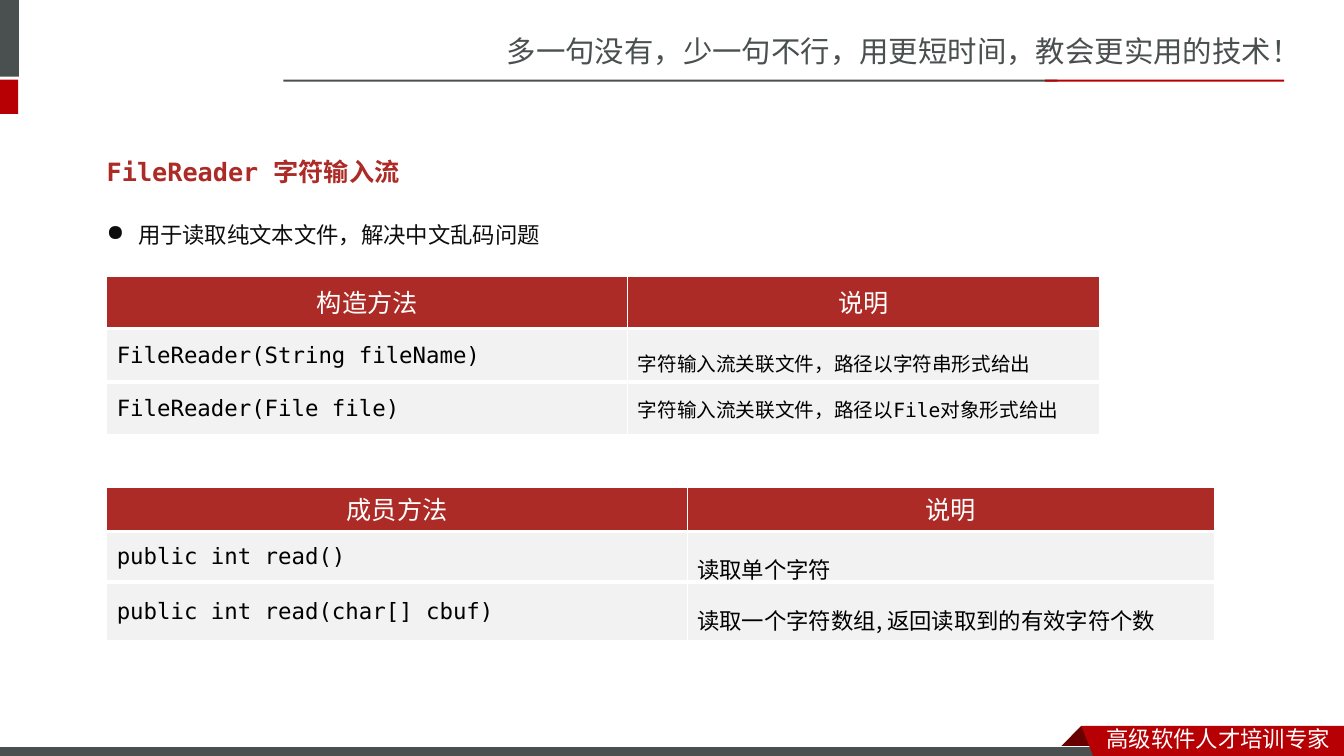
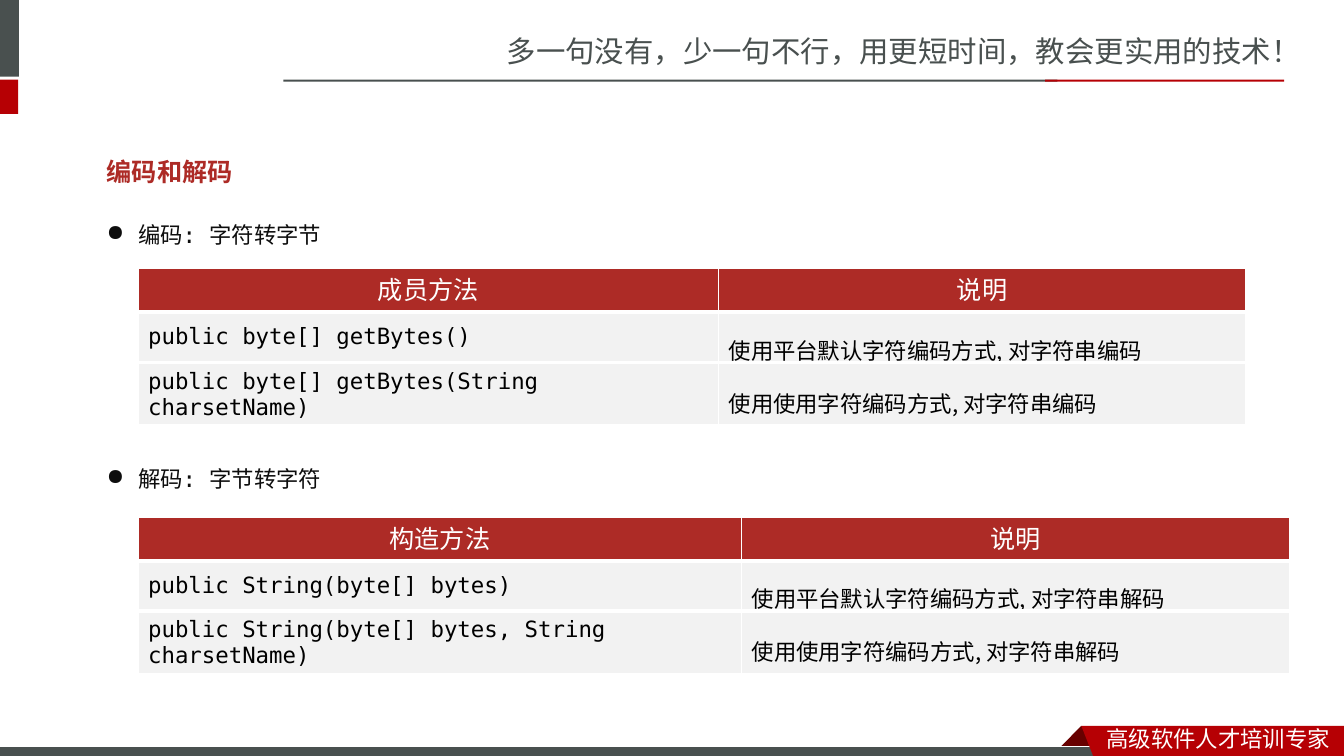
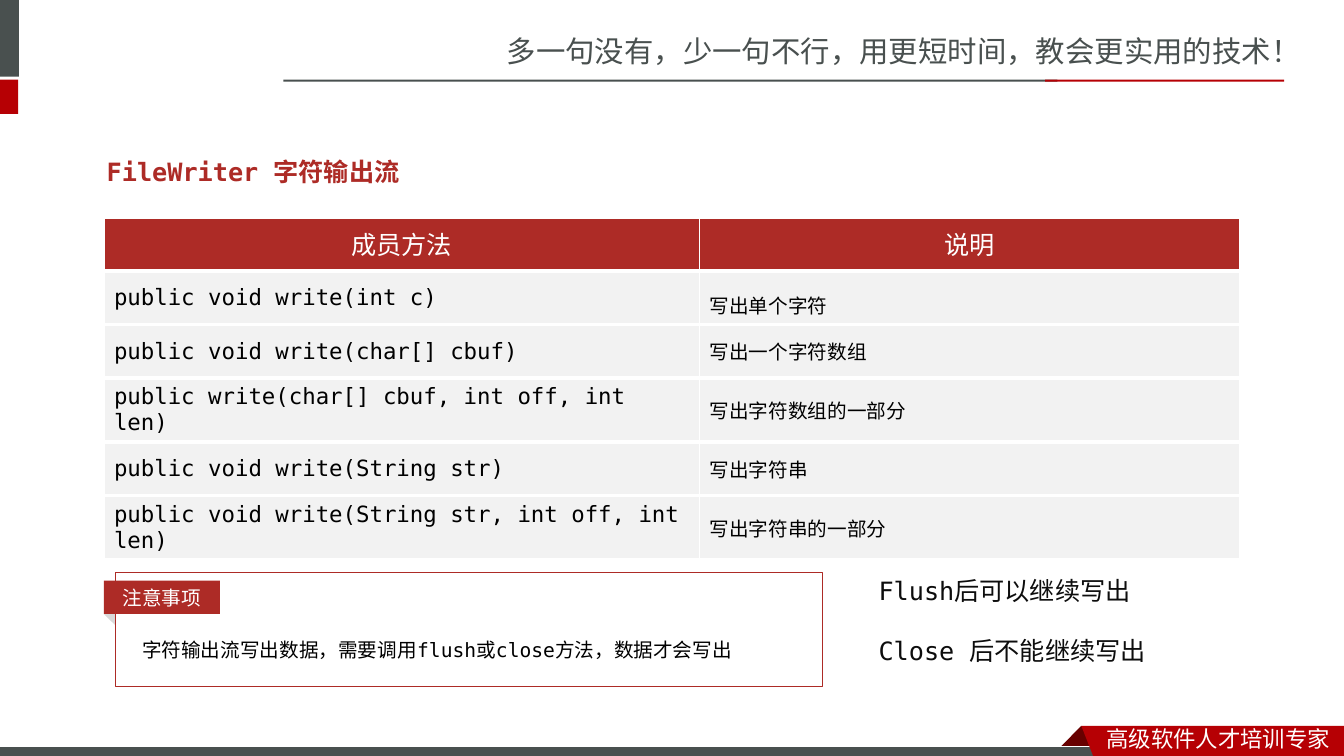
from dataclasses import dataclass

from lxml.etree import SubElement
from pptx import Presentation
from pptx.dml.color import RGBColor
from pptx.enum.shapes import MSO_SHAPE as Geo
from pptx.enum.text import MSO_ANCHOR as Anchor
from pptx.enum.text import MSO_AUTO_SIZE as Fit
from pptx.enum.text import PP_ALIGN as Align
from pptx.oxml.ns import qn
from pptx.util import Cm, Pt

GRAY = RGBColor(0x49, 0x50, 0x4F)
RED = RGBColor(0xB6, 0x00, 0x04)
DARK = RGBColor(0x68, 0x00, 0x00)
BRICK = RGBColor(0xAD, 0x2B, 0x26)
PALE = RGBColor(0xF2, 0xF2, 0xF2)
SHADE = RGBColor(0xD9, 0xD9, 0xD9)
INK = RGBColor(0x0D, 0x0D, 0x0D)
BLACK = RGBColor(0x00, 0x00, 0x00)
WHITE = RGBColor(0xFF, 0xFF, 0xFF)

MONO = "DejaVu Sans Mono"
SANS = "Noto Sans CJK SC"
JAPAN = "Noto Sans CJK JP"
HEAD = "Roboto"


@dataclass(frozen=True)
class Box:
    """A place on the slide, in centimetres."""
    x: float
    y: float
    w: float
    h: float

    def place(self) -> tuple:
        return Cm(self.x), Cm(self.y), Cm(self.w), Cm(self.h)


@dataclass(frozen=True)
class Style:
    size: float
    color: RGBColor = BLACK
    latin: str = MONO
    asian: str = SANS
    bold: bool = False


@dataclass(frozen=True)
class Bar:
    box: Box
    fill: RGBColor
    edge: RGBColor | None = None


@dataclass(frozen=True)
class Grid:
    """A two-column table of methods; loose tables have airy, larger notes."""
    box: Box
    cols: tuple
    rows: tuple
    title: str
    body: tuple
    loose: bool = False


@dataclass(frozen=True)
class Page:
    title: str
    points: tuple
    grids: tuple


MOTTO = Style(21, GRAY, SANS)
SLOGAN = Style(16, WHITE, SANS)
TITLE = Style(18, BRICK, bold=True)
POINT = Style(16, INK)
TOP = Style(18, WHITE, HEAD)
CODE = Style(16)
NOTE = Style(14)
WIDE = Style(16, BLACK, JAPAN, JAPAN)
TAG = Style(14, WHITE, HEAD)
REMARK = Style(18, INK, MONO, JAPAN)

BARS = (
    Bar(Box(-0.15, 0, 0.63, 1.93), GRAY),
    Bar(Box(-0.15, 2.01, 0.61, 0.86), RED),
    Bar(Box(7.14, 2.01, 19.51, 0.05), GRAY),
    Bar(Box(26.34, 2.01, 6.02, 0.05), RED),
)
BASE = Bar(Box(-0.03, 18.82, 27.94, 0.3), GRAY, WHITE)
FOLD = ((27.25, 18.29), (27.81, 18.85), (27.79, 18.87),
        (26.72, 18.87), (26.7, 18.85))
RIBBON = ((27.25, 18.29), (33.87, 18.29), (33.87, 19.15), (27.58, 19.13))

TALL = (1.32, 1.35, 1.35)
TIGHT = (0.69, 0.97, 1.5)
MAKE, CALL = "构造方法", "成员方法"

PAGES = (
    Page("FileReader 字符输入流", ((5.11, "用于读取纯文本文件，解决中文乱码问题"),), (
        Grid(Box(2.69, 6.96, 25.02, 4.01), (13.13, 11.89), TALL, MAKE, (
            ("FileReader(String fileName)", "字符输入流关联文件，路径以字符串形式给出"),
            ("FileReader(File file)", "字符输入流关联文件，路径以File对象形式给出"))),
        Grid(Box(2.69, 12.29, 27.91, 3.71), (14.63, 13.28), TIGHT, CALL, (
            ("public int read()", "读取单个字符"),
            ("public int read(char[] cbuf)",
             "读取一个字符数组, 返回读取到的有效字符个数")), True))),
    Page("编码和解码", ((5.11, "编码: 字符转字节"), (11.25, "解码: 字节转字符")), (
        Grid(Box(3.48, 6.76, 27.91, 3.71), (14.63, 13.28), TIGHT, CALL, (
            ("public byte[] getBytes()", "使用平台默认字符编码方式, 对字符串编码"),
            ("public byte[] getBytes(String charsetName)",
             "使用使用字符编码方式, 对字符串编码")), True),
        Grid(Box(3.48, 13.03, 29.03, 3.71), (15.21, 13.82), TIGHT, MAKE, (
            ("public String(byte[] bytes)", "使用平台默认字符编码方式, 对字符串解码"),
            ("public String(byte[] bytes, String charsetName)",
             "使用使用字符编码方式, 对字符串解码")), True))),
    Page("FileWriter 字符输出流", (), (
        Grid(Box(2.62, 5.51, 28.62, 8.05), (15.01, 13.61),
             (1.32,) + (1.35,) * 5, CALL, (
            ("public void write(int c)", "写出单个字符"),
            ("public void write(char[] cbuf)", "写出一个字符数组"),
            ("public write(char[] cbuf, int off, int len)", "写出字符数组的一部分"),
            ("public void write(String str)", "写出字符串"),
            ("public void write(String str, int off, int len)",
             "写出字符串的一部分"))),)),
)


def ink(para, style: Style) -> None:
    """Format every run of a paragraph."""
    for run in para.runs:
        font = run.font
        font.size, font.bold = Pt(style.size), style.bold
        font.color.rgb, font.name = style.color, style.latin
        props = run._r.get_or_add_rPr()
        SubElement(props, qn("a:ea")).set("typeface", style.asian)


def paint(shape, fill: RGBColor | None, edge: RGBColor | None = None) -> None:
    shape.shadow.inherit = False
    if fill is None:
        shape.fill.background()
    else:
        shape.fill.solid()
        shape.fill.fore_color.rgb = fill
    if edge is None:
        shape.line.fill.background()
    else:
        shape.line.color.rgb = edge
        shape.line.width = Pt(0.75)


def add_bar(slide, bar: Bar) -> None:
    paint(slide.shapes.add_shape(Geo.RECTANGLE, *bar.box.place()),
          bar.fill, bar.edge)


def add_poly(slide, dots: tuple, fill: RGBColor) -> None:
    first, *rest = [(Cm(x), Cm(y)) for x, y in dots]
    pen = slide.shapes.build_freeform(*first, scale=1.0)
    pen.add_line_segments(rest, close=True)
    paint(pen.convert_to_shape(), fill)


def add_text(slide, box: Box, text: str, style: Style, lead: float = 1.0):
    frame = slide.shapes.add_textbox(*box.place()).text_frame
    frame.word_wrap = True
    frame.auto_size = Fit.SHAPE_TO_FIT_TEXT
    frame.text = text
    for para in frame.paragraphs:
        para.line_spacing = lead
        ink(para, style)
    return frame


def add_point(slide, y: float, text: str) -> None:
    frame = add_text(slide, Box(2.44, y, 24.36, 1.19), text, POINT, 1.5)
    props = frame.paragraphs[0]._p.get_or_add_pPr()
    props.set("marL", str(Cm(0.79)))
    props.set("indent", str(-Cm(0.79)))
    SubElement(props, qn("a:buChar")).set("char", "●")


def edge_cell(cell, top: float) -> None:
    """Give a cell white borders, thin at the sides and thick below."""
    props = cell._tc.get_or_add_tcPr()
    for side, width in zip("LRTB", (1, 1, top, 3)):
        line = SubElement(props, qn(f"a:ln{side}"), w=str(Pt(width)))
        fill = SubElement(line, qn("a:solidFill"))
        SubElement(fill, qn("a:srgbClr"), val=str(WHITE))


def add_grid(slide, grid: Grid) -> None:
    lines = ((grid.title, "说明"),) + grid.body
    frame = slide.shapes.add_table(len(lines), 2, *grid.box.place())
    table = frame.table
    table.first_row = table.horz_banding = False
    for col, width in zip(table.columns, grid.cols):
        col.width = Cm(width)
    for row, height in zip(table.rows, grid.rows):
        row.height = Cm(height)
    frame.height = Cm(grid.box.h)
    for i, line in enumerate(lines):
        for j, text in enumerate(line):
            cell = table.cell(i, j)
            edge_cell(cell, 3 if i else 1)
            cell.fill.solid()
            cell.fill.fore_color.rgb = PALE if i else BRICK
            cell.vertical_anchor = Anchor.MIDDLE
            cell.text_frame.text = text
            para = cell.text_frame.paragraphs[0]
            if i == 0:
                para.alignment = Align.CENTER
                para.line_spacing = Pt(24)
                ink(para, TOP)
                continue
            if i == 1:
                para.space_before = Pt(3)
            if j == 1 and (i == 1 or grid.loose):
                para.line_spacing = 1.5
            ink(para, CODE if j == 0 else WIDE if grid.loose else NOTE)


def add_notice(slide) -> None:
    """Draw the framed warning and the remarks beside it."""
    fold = slide.shapes.add_shape(
        Geo.ISOSCELES_TRIANGLE, *Box(2.64, 15.42, 0.41, 0.23).place())
    fold.rotation = 44.2
    paint(fold, SHADE)
    add_bar(slide, Bar(Box(2.9, 14.43, 17.83, 2.87), None, BRICK))
    tag = slide.shapes.add_shape(
        Geo.RECTANGLE, *Box(2.62, 14.63, 2.92, 0.84).place())
    paint(tag, BRICK)
    tag.text_frame.text = "注意事项"
    tag.text_frame.vertical_anchor = Anchor.MIDDLE
    tag.text_frame.paragraphs[0].alignment = Align.CENTER
    ink(tag.text_frame.paragraphs[0], TAG)
    add_text(slide, Box(3.33, 15.65, 17.68, 1.07),
             "字符输出流写出数据，需要调用flush或close方法，数据才会写出", NOTE, 1.5)
    frame = add_text(slide, Box(21.89, 14.38, 11.33, 2.57),
                     "Flush后可以继续写出\nClose 后不能继续写出", REMARK)
    frame.paragraphs[1].space_before = Pt(21)


def add_frame(slide) -> None:
    """Draw the motto, bands and footer that all slides share."""
    add_text(slide, Box(12.52, 0.71, 21.36, 1.19),
             "多一句没有，少一句不行，用更短时间，教会更实用的技术！", MOTTO)
    for bar in BARS:
        add_bar(slide, bar)
    add_poly(slide, FOLD, DARK)
    add_bar(slide, BASE)
    add_poly(slide, RIBBON, RED)
    add_text(slide, Box(27.64, 18.16, 6.22, 0.94), "高级软件人才培训专家", SLOGAN)


def main() -> None:
    deck = Presentation()
    deck.slide_width, deck.slide_height = Cm(33.87), Cm(19.05)
    for page in PAGES:
        slide = deck.slides.add_slide(deck.slide_layouts[6])
        add_frame(slide)
        add_text(slide, Box(2.44, 3.05, 13, 1.6), page.title, TITLE, 2.0)
        for y, text in page.points:
            add_point(slide, y, text)
        for grid in page.grids:
            add_grid(slide, grid)
    add_notice(slide)
    deck.save("out.pptx")


if __name__ == "__main__":
    main()
